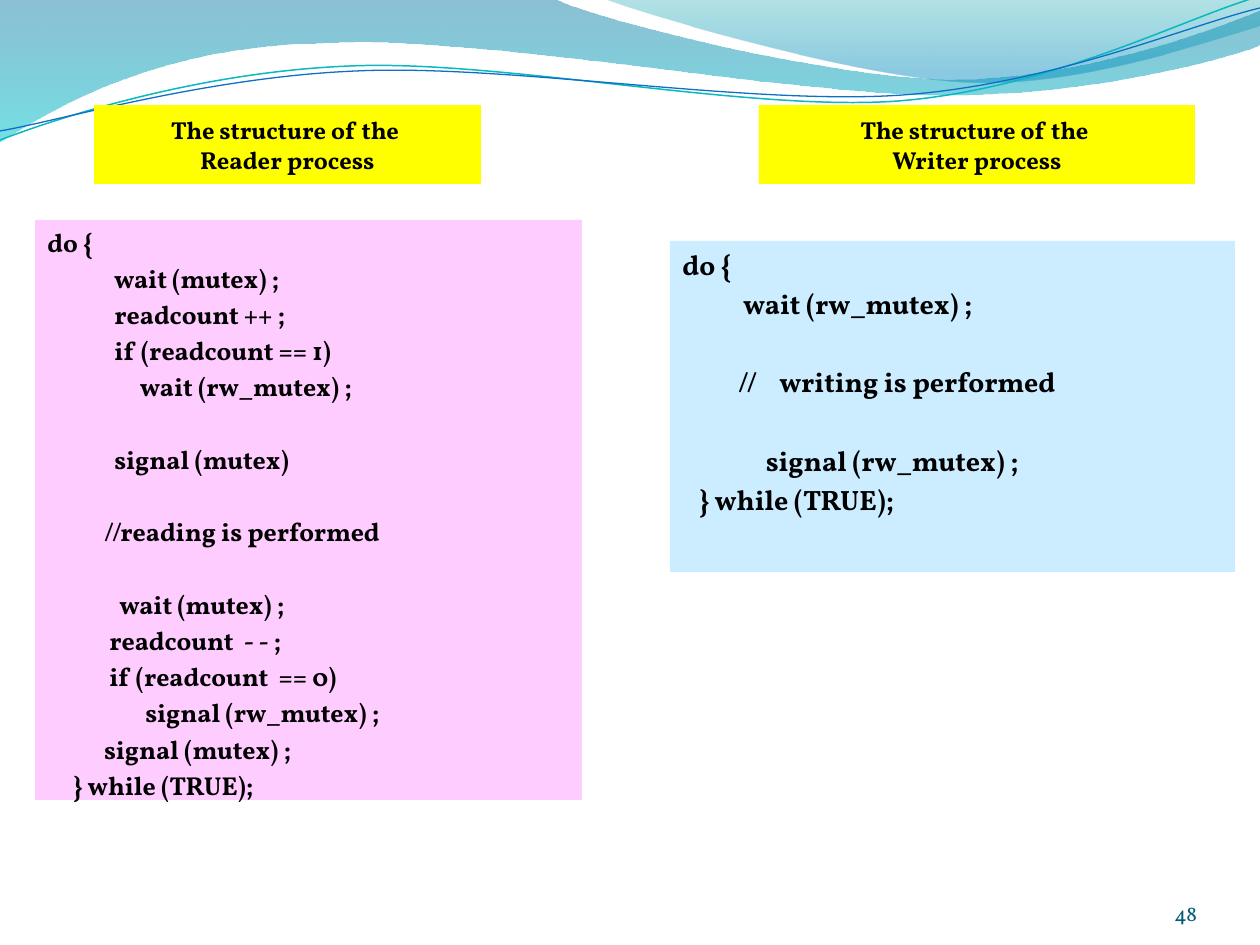
from dataclasses import dataclass

from lxml.etree import SubElement
from pptx import Presentation
from pptx.dml.color import RGBColor
from pptx.enum.shapes import MSO_SHAPE as Shape
from pptx.enum.text import MSO_ANCHOR as Anchor, PP_ALIGN as Align
from pptx.oxml.ns import qn
from pptx.util import Emu, Pt

SCALE = 914400 / 126  # EMU in one px


@dataclass(frozen=True)
class Theme:
    font: str = "Vollkorn"
    ink: str = "000000"
    heading_fill: str = "FFFF00"
    reader_fill: str = "FFCCFF"
    writer_fill: str = "CCECFF"
    number: str = "045D75"
    teal_line: str = "0AB8BF"
    blue_line: str = "0F6FC6"
    heading_size: float = 14
    reader_size: float = 14.8
    writer_size: float = 16
    number_size: float = 12
    space_before: float = 0.2  # share of the type size
    blank_line: float = 1.4


THEME = Theme()


@dataclass(frozen=True)
class Panel:
    left: int
    top: int
    width: int
    height: int
    fill: str
    size: float
    text: str


@dataclass(frozen=True)
class Stop:
    position: float
    color: str
    alpha: int  # percent


@dataclass(frozen=True)
class Wave:
    """Segments of one point are straight, of three points are Bezier curves."""
    start: tuple
    segments: tuple
    stops: tuple = ()
    line: str = ""
    weight: float = 0


WAVES = (
    Wave((-1, 0), (
        ((554, -1),),
        ((600, 21), (837, 79), (955, 79)), ((1074, 79), (1207, 33), (1260, 11)),
        ((1261, 45),),
        ((1239, 55), (1096, 96), (940, 95)), ((784, 94), (481, 35), (324, 43)),
        ((163, 45), (58, 105), (-1, 142)),
    ), stops=(Stop(0, "0074A1", 45), Stop(1, "00C6CF", 55))),
    Wave((604, -1), (
        ((641, 14), (859, 78), (969, 82)), ((1079, 87), (1211, 40), (1260, 26)),
        ((1260, 0),),
    ), stops=(Stop(0, "00A1A9", 30), Stop(0.8, "008BBF", 45))),
    Wave((0, 140), (
        ((60, 117), (199, 72), (349, 66)), ((498, 59), (747, 112), (898, 101)),
        ((1050, 89), (1182, 19), (1257, -3)),
    ), line=THEME.teal_line, weight=0.85),
    Wave((0, 131), (
        ((59, 121), (207, 77), (357, 71)), ((508, 64), (752, 106), (903, 95)),
        ((1053, 84), (1186, 26), (1260, 8)),
    ), line=THEME.blue_line, weight=0.75),
)

READER_CODE = """do {
             wait (mutex) ;
             readcount ++ ;
             if (readcount == 1)
                  wait (rw_mutex) ;

             signal (mutex)

           //reading is performed

              wait (mutex) ;
            readcount  - - ;
            if (readcount  == 0)
                   signal (rw_mutex) ;
           signal (mutex) ;
     } while (TRUE);"""

WRITER_CODE = """do {
           wait (rw_mutex) ;

          //    writing is performed

               signal (rw_mutex) ;
   } while (TRUE);"""

CODE_PANELS = (
    Panel(35, 220, 547, 580, THEME.reader_fill, THEME.reader_size, READER_CODE),
    Panel(670, 241, 565, 331, THEME.writer_fill, THEME.writer_size, WRITER_CODE),
)
HEADINGS = tuple(
    Panel(left, 105, width, 79, THEME.heading_fill, THEME.heading_size,
          f"The structure of the \n{role} process")
    for left, width, role in ((759, 436, "Writer"), (94, 387, "Reader"))
)


def px(length: int) -> Emu:
    return Emu(round(length * SCALE))


def bend(shape, segments: tuple) -> None:
    """Join the three line steps of each curved segment into one Bezier curve."""
    steps = iter(list(shape.element.spPr.iter(qn("a:lnTo"))))
    for segment in segments:
        first, *others = [next(steps) for _ in segment]
        if not others:
            continue
        curve = first.getparent().makeelement(qn("a:cubicBezTo"))
        first.addprevious(curve)
        for step in (first, *others):
            curve.append(step[0])
            step.getparent().remove(step)


def draw_wave(page, wave: Wave) -> None:
    builder = page.shapes.build_freeform(*wave.start, scale=SCALE)
    builder.add_line_segments([point for segment in wave.segments for point in segment],
                              close=bool(wave.stops))
    shape = builder.convert_to_shape()
    bend(shape, wave.segments)
    shape.shadow.inherit = False
    if not wave.stops:
        shape.fill.background()
        shape.line.color.rgb = RGBColor.from_string(wave.line)
        shape.line.width = Pt(wave.weight)
        return
    shape.line.fill.background()
    shape.fill.gradient()
    shape.fill.gradient_angle = 270
    for target, stop in zip(shape.fill.gradient_stops, wave.stops):
        target.position = stop.position
        target.color.rgb = RGBColor.from_string(stop.color)
    for color, stop in zip(shape.element.spPr.iter(qn("a:srgbClr")), wave.stops):
        SubElement(color, qn("a:alpha"), val=str(stop.alpha * 1000))


def format_para(para, size: float, color: str, bold: bool) -> None:
    for span in para.runs:
        span.font.name = THEME.font
        span.font.size = Pt(size)
        span.font.bold = bold
        span.font.color.rgb = RGBColor.from_string(color)


def draw_panel(page, panel: Panel, align: Align, anchor: Anchor, spacing: float) -> None:
    """Draw a filled box; an empty line of its text becomes space before the next."""
    box = page.shapes.add_shape(Shape.RECTANGLE, px(panel.left), px(panel.top),
                                px(panel.width), px(panel.height))
    box.shadow.inherit = False
    box.fill.solid()
    box.fill.fore_color.rgb = RGBColor.from_string(panel.fill)
    box.line.fill.background()
    frame = box.text_frame
    frame.word_wrap = True
    frame.vertical_anchor = anchor
    lines = panel.text.split("\n")
    for index, line in enumerate(lines):
        if not line:
            continue
        para = frame.add_paragraph() if index else frame.paragraphs[0]
        para.text = line
        para.alignment = align
        if index:
            gap = spacing + (0 if lines[index - 1] else THEME.blank_line)
            para.space_before = Pt(round(gap * panel.size, 2))
        format_para(para, panel.size, THEME.ink, True)


def draw_number(page, text: str) -> None:
    box = page.shapes.add_textbox(px(1092), px(876), px(105), px(50))
    frame = box.text_frame
    frame.word_wrap = True
    frame.margin_left = frame.margin_right = frame.margin_top = frame.margin_bottom = 0
    frame.vertical_anchor = Anchor.BOTTOM
    frame.text = text
    frame.paragraphs[0].alignment = Align.RIGHT
    format_para(frame.paragraphs[0], THEME.number_size, THEME.number, False)


def main() -> None:
    deck = Presentation()
    deck.slide_width, deck.slide_height = px(1260), px(945)
    page = deck.slides.add_slide(deck.slide_layouts[6])
    # Waves along the top
    for wave in WAVES:
        draw_wave(page, wave)
    # Code of both processes, then their headings
    for panel in CODE_PANELS:
        draw_panel(page, panel, Align.LEFT, Anchor.TOP, THEME.space_before)
    for panel in HEADINGS:
        draw_panel(page, panel, Align.CENTER, Anchor.MIDDLE, 0)
    # Slide number
    draw_number(page, "48")
    deck.save("out.pptx")


if __name__ == "__main__":
    main()
